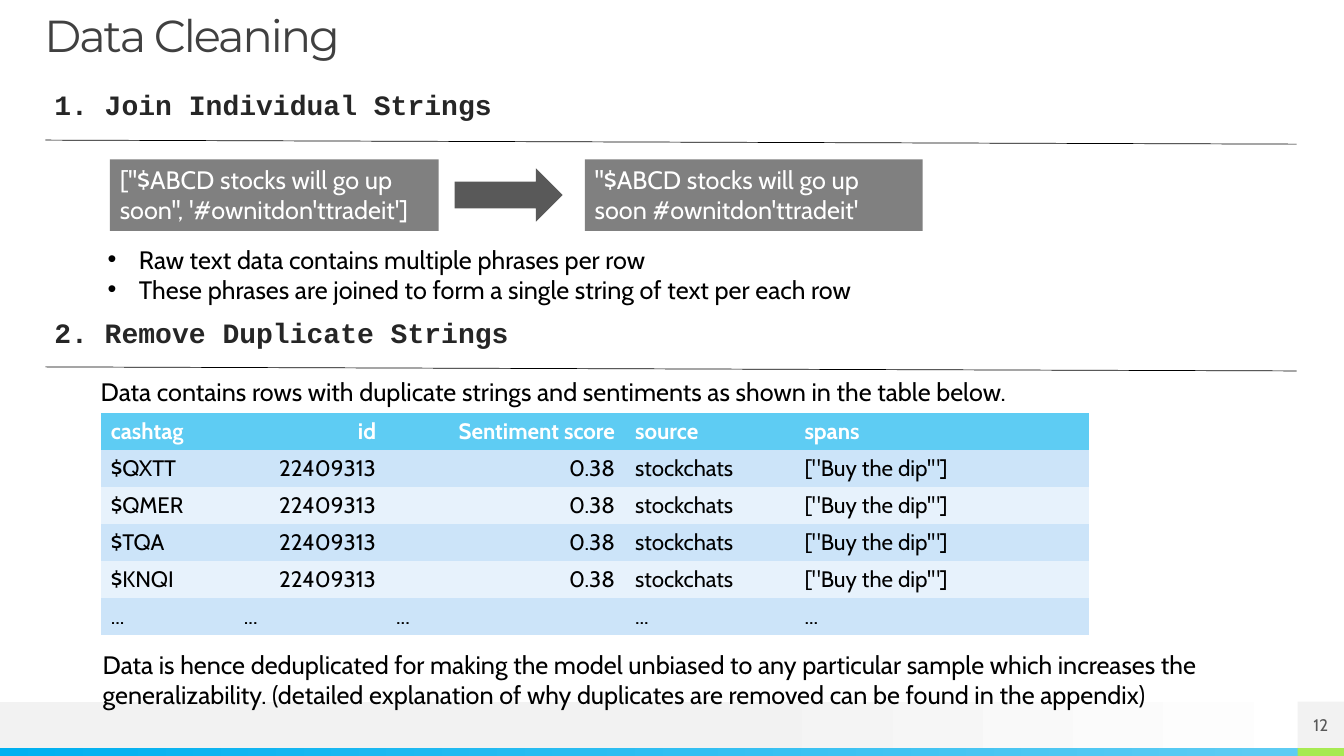
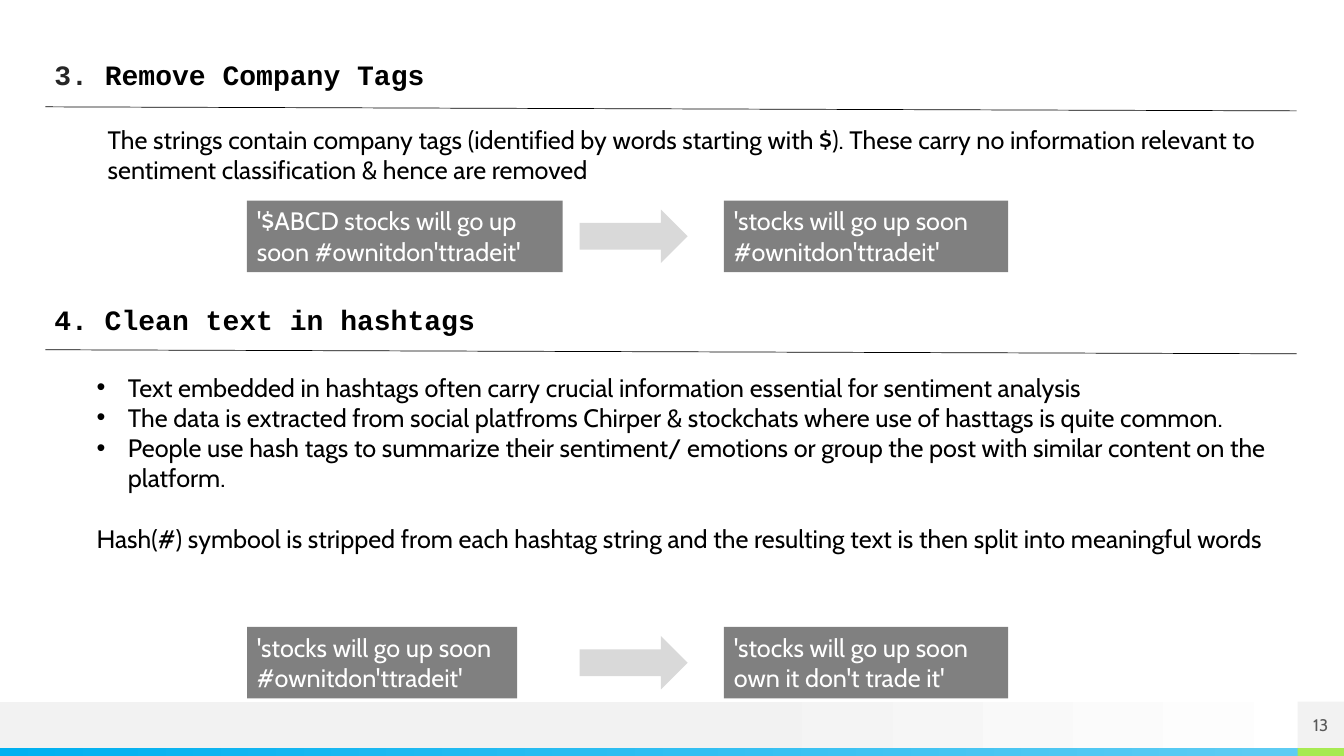
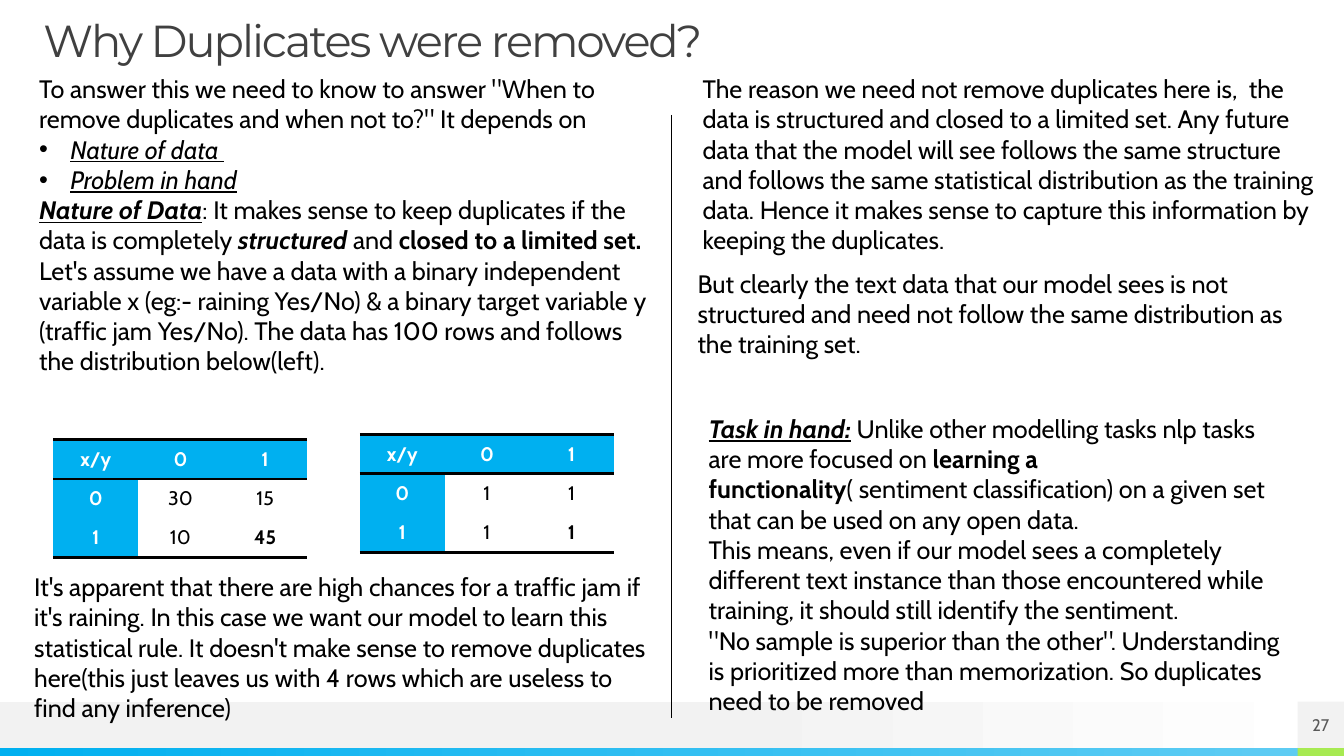
import itertools

import pptx
import pptx.dml.color
import pptx.enum.shapes
import pptx.enum.text
import pptx.oxml
import pptx.oxml.ns
import pptx.util

Inches = pptx.util.Inches
Pt = pptx.util.Pt
ALIGN = pptx.enum.text.PP_ALIGN
ANCHOR = pptx.enum.text.MSO_ANCHOR
SHAPE = pptx.enum.shapes.MSO_SHAPE
NAMESPACE = pptx.oxml.ns.nsdecls("a")
PLAIN_TABLE_STYLE = "{2D5ABB26-0587-4C30-8999-92F81FD0307C}"

COLORS = {
    "white": "FFFFFF", "black": "000000", "title": "404040", "heading": "262626",
    "box": "808080", "dark": "595959", "pale": "D9D9D9", "band": "F2F2F2",
    "blue": "00B0F0", "sky": "5ECCF3", "green": "A7EA52",
    "stripe": "CCE4F9", "light stripe": "E7F2FC",
}


def rgb(name):
    return pptx.dml.color.RGBColor.from_string(COLORS[name])


def element(markup):
    return pptx.oxml.parse_xml(markup)


def write(frame, text, font="Cabin", size=18, color="black", bold=False, align=ALIGN.LEFT,
          anchor=ANCHOR.TOP, spacing=None, tracking=None, bullets=(), gaps=None, margins=True):
    frame.word_wrap = True
    frame.vertical_anchor = anchor
    if not margins:
        frame.margin_left = frame.margin_right = frame.margin_top = frame.margin_bottom = 0
    paragraphs = [text] if isinstance(text, str) else text
    for index, runs in enumerate(paragraphs):
        paragraph = frame.add_paragraph() if index else frame.paragraphs[0]
        paragraph.alignment = align
        if spacing:
            paragraph.line_spacing = spacing
        if gaps and index in gaps:
            paragraph.space_before = Pt(gaps[index])
        if index in bullets:
            properties = paragraph._p.get_or_add_pPr()
            properties.set("marL", str(Inches(0.31)))
            properties.set("indent", str(-Inches(0.31)))
            properties.append(element(f'<a:buFont {NAMESPACE} typeface="Arial"/>'))
            properties.append(element(f'<a:buChar {NAMESPACE} char="•"/>'))
        for part in [runs] if isinstance(runs, str) else runs:
            words, marks, tint = (part, "", color) if isinstance(part, str) else (*part, color)[:3]
            run = paragraph.add_run()
            run.text = words
            run.font.name = font
            run.font.size = Pt(size)
            run.font.color.rgb = rgb(tint)
            run.font.bold = bold or "b" in marks
            run.font.italic = "i" in marks
            run.font.underline = "u" in marks
            if tracking:
                run._r.get_or_add_rPr().set("spc", str(tracking))


class Deck:
    """Hold the shared style and the slide being built."""

    def __init__(self):
        self.presentation = pptx.Presentation()
        self.presentation.slide_width = Inches(13.33)
        self.presentation.slide_height = Inches(7.5)
        self.slide = None

    def page(self, number, title=None, left=0.44, top=0.14):
        self.slide = self.presentation.slides.add_slide(self.presentation.slide_layouts[6])
        self.block(0, 6.96, 13.33, 0.46, [(0.53, "band"), (1, "white")])
        self.block(0, 7.42, 12.87, 0.08, [(0, "blue"), (1, "sky")])
        self.block(12.87, 7.42, 0.46, 0.08, "green")
        corner = self.block(12.87, 6.96, 0.46, 0.46, "band")
        write(corner.text_frame, number, size=12, color="dark", align=ALIGN.CENTER,
              anchor=ANCHOR.MIDDLE, margins=False)
        if title:
            self.text(left, top, 12.4, 0.47, title, font="Montserrat", size=32, color="title",
                      spacing=0.9, tracking=-150, margins=False)

    def block(self, left, top, width, height, fill, kind=SHAPE.RECTANGLE):
        block = self.slide.shapes.add_shape(
            kind, Inches(left), Inches(top), Inches(width), Inches(height))
        block.shadow.inherit = False
        block.line.fill.background()
        if isinstance(fill, str):
            block.fill.solid()
            block.fill.fore_color.rgb = rgb(fill)
        else:
            block.fill.gradient()
            block.fill.gradient_angle = 0
            for stop, (position, color) in zip(block.fill.gradient_stops, fill):
                stop.position = position
                stop.color.rgb = rgb(color)
        return block

    def text(self, left, top, width, height, text, **style):
        box = self.slide.shapes.add_textbox(
            Inches(left), Inches(top), Inches(width), Inches(height))
        write(box.text_frame, text, **style)

    def rule(self, x1, y1, x2, y2):
        rule = self.slide.shapes.add_connector(
            pptx.enum.shapes.MSO_CONNECTOR.STRAIGHT, Inches(x1), Inches(y1), Inches(x2), Inches(y2))
        rule.line.color.rgb = rgb("black")
        rule.line.width = Pt(0.5)
        rule._element.spPr.append(element(f"<a:effectLst {NAMESPACE}/>"))

    def heading(self, text, top, rule_top, height=0.44, **style):
        self.text(0.44, top, 5.18, height, text, font="Courier New", size=20, bold=True, **style)
        self.rule(0.45, rule_top, 12.86, rule_top + 0.04)

    def change(self, top, before, after, arrow_left=5.75, arrow_color="pale"):
        for left, width, words in (before, after):
            box = self.block(left, top, width, 0.71, "box")
            write(box.text_frame, words, color="white")
        self.block(arrow_left, top + 0.09, 1.07, 0.53, arrow_color, SHAPE.RIGHT_ARROW)

    def table(self, left, top, widths, row_height, rows, style):
        frame = self.slide.shapes.add_table(
            len(rows), len(widths), Inches(left), Inches(top),
            Inches(sum(widths)), Inches(row_height * len(rows)))
        table = frame.table
        table._tbl.tblPr.find(pptx.oxml.ns.qn("a:tableStyleId")).text = PLAIN_TABLE_STYLE
        for column, width in zip(table.columns, widths):
            column.width = Inches(width)
        for row in table.rows:
            row.height = Inches(row_height)
        for r, c in itertools.product(range(len(rows)), range(len(widths))):
            cell = table.cell(r, c)
            fill, edges, words = style(r, c)
            cell.fill.solid()
            cell.fill.fore_color.rgb = rgb(fill)
            cell.vertical_anchor = ANCHOR.MIDDLE
            write(cell.text_frame, rows[r][c], anchor=None, **words)
            for edge in edges:
                cell._tc.get_or_add_tcPr().insert(0, element(
                    f'<a:{edge} {NAMESPACE} w="{Pt(2)}"><a:solidFill>'
                    f'<a:srgbClr val="{COLORS["black"]}"/></a:solidFill></a:{edge}>'))

    def counts(self, left, top, rows):
        def style(r, c):
            head = r == 0 or c == 0
            edges = ("lnB", "lnT") if r == 0 else ("lnB",) if r == 2 else ()
            return "blue" if head else "white", edges, dict(
                size=14, color="white" if head else "black",
                bold=head or (r, c) == (2, 2), align=ALIGN.CENTER)

        self.table(left, top, [0.84] * 3, 0.39, rows, style)


def duplicate_style(r, c):
    fill = "sky" if r == 0 else "stripe" if r % 2 else "light stripe"
    numeric = c in (1, 2) and r < 5
    return fill, (), dict(size=16, color="black" if r else "white", bold=r == 0,
                          align=ALIGN.RIGHT if numeric else ALIGN.LEFT)


def joining_and_duplicates(deck):
    deck.page("12", "Data Cleaning")
    deck.heading("1. Join Individual Strings", 0.82, 1.39, color="heading")
    deck.change(1.58,
                (1.09, 3.26, "[''$ABCD stocks will go up soon'', '#ownitdon'ttradeit']"),
                (5.8, 3.35, "''$ABCD stocks will go up soon #ownitdon'ttradeit'"),
                arrow_left=4.51, arrow_color="dark")
    deck.text(0.97, 2.37, 11.41, 0.71, [
        "Raw text data contains multiple phrases per row",
        "These phrases are joined to form a single string of text per each row",
    ], bullets=(0, 1))
    deck.heading("2. Remove Duplicate Strings", 3.08, 3.64, color="heading")
    deck.text(0.9, 3.68, 11.79, 0.4,
              "Data contains rows with duplicate strings and sentiments as shown in the table below.")
    tags = ["$QXTT", "$QMER", "$TQA", "$KNQI"]
    rows = [["cashtag", "id", "Sentiment score", "source", "spans"]]
    rows += [[tag, "22409313", "0.38", "stockchats", "[\"Buy the dip'\"]"] for tag in tags]
    rows.append(["..."] * 5)
    deck.table(1, 4.1, [1.32, 1.51, 2.37, 1.68, 2.92], 2.2 / 6, rows, duplicate_style)
    deck.text(0.92, 6.39, 11.93, 1.01,
              "Data is hence deduplicated for making the model unbiased to any particular sample "
              "which increases the generalizability. (detailed explanation of why duplicates are "
              "removed can be found in the appendix)")


def tags_and_hashtags(deck):
    deck.page("13")
    deck.heading([[("3. ", "", "heading"), "Remove Company Tags"]], 0.36, 1.06,
                 height=0.56, spacing=1.5)
    deck.text(0.97, 1.18, 11.98, 0.71,
              "The strings contain company tags (identified by words starting with $). These carry "
              "no information relevant to sentiment classification & hence are removed")
    untagged = "'stocks will go up soon #ownitdon'ttradeit'"
    deck.change(1.99,
                (2.45, 3.13, "'$ABCD stocks will go up soon #ownitdon'ttradeit'"),
                (7.18, 2.82, untagged))
    deck.heading("4. Clean text in hashtags", 2.95, 3.47)
    deck.text(0.86, 3.64, 11.98, 2.52, [
        "Text embedded in hashtags often carry crucial information essential for sentiment analysis",
        "The data is extracted from social platfroms Chirper & stockchats where use of hasttags "
        "is quite common.",
        "People use hash tags to summarize their sentiment/ emotions or group the post with "
        "similar content on the platform.",
        "Hash(#) symbool is stripped from each hashtag string and the resulting text is then "
        "split into meaningful words",
    ], bullets=(0, 1, 2), gaps={3: 21.6})
    deck.change(6.22, (2.45, 2.68, untagged),
                (7.18, 2.82, "'stocks will go up soon own it don't trade it'"))


def why_duplicates(deck):
    deck.page("27", "Why Duplicates were removed?", 0.43, 0.19)
    deck.text(0.29, 0.68, 6.3, 3.43, [
        "To answer this we need to know to answer \"When to remove duplicates and when not to?\" "
        "It depends on",
        [("Nature of data ", "iu")],
        [("Problem in hand", "iu")],
        [("Nature of Data", "biu"),
         ": It makes sense to keep duplicates if the data is completely ",
         ("structured ", "bi"), "and ", ("closed to a limited set.", "b")],
        "Let's assume we have a data with a binary independent variable x (eg:- raining Yes/No) "
        "& a binary target variable y (traffic jam Yes/No). The data has 100 rows and follows "
        "the distribution below(left).",
    ], bullets=(1, 2))
    header = ["x/y", "0", "1"]
    deck.counts(0.53, 4.36, [header, ["0", "30", "15"], ["1", "10", "45"]])
    deck.counts(3.57, 4.31, [header, ["0", "1", "1"], ["1", "1", "1"]])
    deck.text(0.24, 5.62, 6.3, 1.62,
              "It's apparent that there are high chances for a traffic jam if it's raining. In this "
              "case we want our model to learn this statistical rule. It doesn't make sense to "
              "remove duplicates here(this just leaves us with 4 rows which are useless to find "
              "any inference)")
    deck.rule(6.66, 1.14, 6.66, 7.12)
    deck.text(6.87, 0.68, 6.3, 1.92,
              "The reason we need not remove duplicates here is,  the data is structured and closed "
              "to a limited set. Any future data that the model will see follows the same structure "
              "and follows the same statistical distribution as the training data. Hence it makes "
              "sense to capture this information by keeping the duplicates.")
    deck.text(6.82, 2.61, 6.3, 1.01,
              "But clearly the text data that our model sees is not structured and need not follow "
              "the same distribution as the training set.")
    deck.text(6.93, 4.05, 5.91, 3.13, [
        [("Task in hand:", "biu"), " Unlike other modelling tasks nlp tasks are more focused on ",
         ("learning a functionality", "b"),
         "( sentiment classification) on a given set that can be used on any open data."],
        "This means, even if our model sees a completely different text instance than those "
        "encountered while training, it should still identify the sentiment.",
        "\"No sample is superior than the other\". Understanding is prioritized more than "
        "memorization. So duplicates need to be removed",
    ])


def main():
    deck = Deck()
    joining_and_duplicates(deck)
    tags_and_hashtags(deck)
    why_duplicates(deck)
    deck.presentation.save("out.pptx")


if __name__ == "__main__":
    main()
